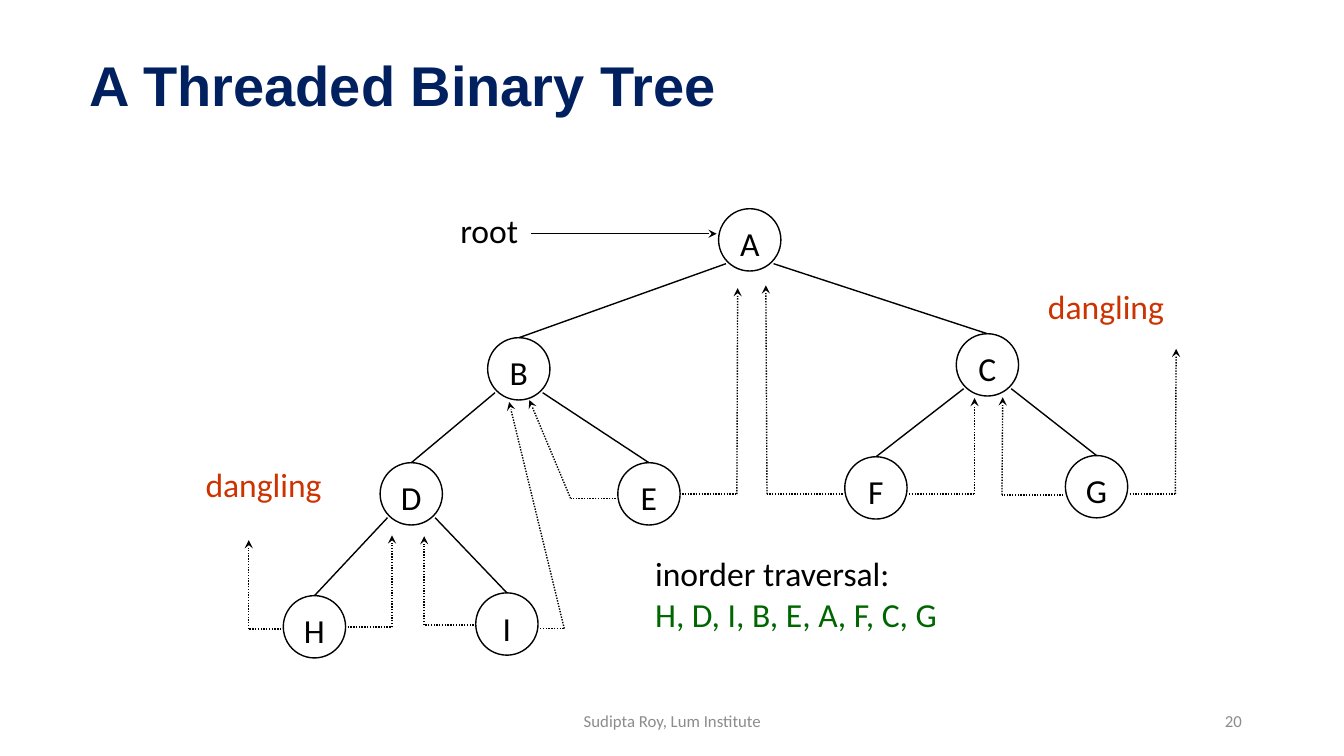
from lxml import etree
from pptx import Presentation
from pptx.dml.color import RGBColor
from pptx.enum import dml, shapes, text
from pptx.oxml.ns import qn
from pptx.util import Cm, Pt

COLORS = {"navy": "002060", "ink": "000000", "red": "CC3300",
          "green": "006600", "gray": "8C8C8C"}
NODE_SIZE = 1.57
EDGE_OFFSET = 0.6
THREAD_GAP = 0.05

NODES = {
    "A": (18.11, 5.26), "B": (12.29, 8.51), "C": (24.1, 8.41),
    "D": (9.58, 11.66), "E": (15.57, 11.66), "F": (21.29, 11.51),
    "G": (26.85, 11.48), "H": (7.14, 15.01), "I": (11.99, 14.94),
}
CHILDREN = {"A": "BC", "B": "DE", "C": "FG", "D": "HI"}
THREADS = [
    ("H", "left", (6.27, 15.85), (6.27, 13.61)),
    ("H", "right", (9.88, 15.8), (9.88, 13.49)),
    ("I", "left", (10.69, 15.75), (10.69, 13.51)),
    ("I", "right", (14.22, 15.84), (12.83, 10.13)),
    ("E", "left", (14.38, 12.56), (13.34, 10.08)),
    ("E", "right", (18.57, 12.45), (18.59, 7.26)),
    ("F", "left", (19.33, 12.45), (19.3, 7.19)),
    ("F", "right", (24.56, 12.45), (24.56, 10.03)),
    ("G", "left", (25.25, 12.47), (25.27, 10.01)),
    ("G", "right", (29.62, 12.45), (29.64, 8.79)),
]
ROOT_ARROW = ((13.39, 5.89), (18.06, 5.89))

TITLE = ("A Threaded Binary Tree", "navy")
LABELS = [
    ((11.35, 5.16, 1.98, 1.3), [("root", "ink")]),
    ((4.93, 11.56, 3.48, 1.27), [("dangling", "red")]),
    ((26.16, 7.09, 3.48, 1.27), [("dangling", "red")]),
    ((16.26, 13.82, 7.67, 2.31),
     [("inorder traversal:", "ink"), ("H, D, I, B, E, A, F, C, G", "green")]),
]
FOOTERS = [
    ((11.23, 17.65, 11.43, 1.02), "Sudipta Roy, Lum Institute", text.PP_ALIGN.CENTER),
    ((23.93, 17.65, 7.62, 1.02), "20", text.PP_ALIGN.RIGHT),
]


def color(name):
    return RGBColor.from_string(COLORS[name])


def write(frame, lines, size=24, font="Calibri", bold=False, align=text.PP_ALIGN.LEFT):
    for index, (words, tint) in enumerate(lines):
        para = frame.add_paragraph() if index else frame.paragraphs[0]
        para.alignment = align
        span = para.add_run()
        span.text = words
        span.font.size = Pt(size)
        span.font.name = font
        span.font.bold = bold
        span.font.color.rgb = color(tint)


def add_label(page, place, lines, wrap=False, anchor=text.MSO_ANCHOR.TOP, **style):
    box = page.shapes.add_textbox(*map(Cm, place))
    box.text_frame.word_wrap = wrap
    box.text_frame.vertical_anchor = anchor
    write(box.text_frame, lines, **style)
    return box


def add_node(page, name):
    circle = page.shapes.add_shape(shapes.MSO_SHAPE.OVAL, *map(Cm, NODES[name]),
                                   Cm(NODE_SIZE), Cm(NODE_SIZE))
    circle.shadow.inherit = False
    circle.fill.background()
    circle.line.color.rgb = color("ink")
    circle.line.width = Pt(1)
    frame = circle.text_frame
    frame.word_wrap = False
    frame.vertical_anchor = text.MSO_ANCHOR.MIDDLE
    frame.margin_left = frame.margin_right = frame.margin_bottom = 0
    frame.margin_top = Cm(0.18)
    write(frame, [(name, "ink")], align=text.PP_ALIGN.CENTER)
    return circle


def add_line(page, start, end, dotted=False, arrow=False):
    line = page.shapes.add_connector(shapes.MSO_CONNECTOR.STRAIGHT,
                                     *map(Cm, start + end))
    line.line.color.rgb = color("ink")
    line.line.width = Pt(1)
    if dotted:
        line.line.dash_style = dml.MSO_LINE.ROUND_DOT
    if arrow:
        etree.SubElement(line.line._get_or_add_ln(), qn("a:tailEnd"), type="stealth")
    etree.SubElement(line._element.spPr, qn("a:effectLst"))
    return line


def add_edges(page, circles):
    for parent, pair in CHILDREN.items():
        left, top = NODES[parent]
        middle = NODE_SIZE / 2
        for child, side in zip(pair, (-1, 1)):
            start = (left + middle + side * EDGE_OFFSET, top + middle + EDGE_OFFSET)
            end = (NODES[child][0] + middle, NODES[child][1])
            add_line(page, start, end).end_connect(circles[child], 0)


def add_threads(page):
    for name, side, bend, tip in THREADS:
        left = NODES[name][0]
        edge = left - THREAD_GAP if side == "left" else left + NODE_SIZE + THREAD_GAP
        add_line(page, (edge, bend[1]), bend, dotted=True)
        add_line(page, bend, tip, dotted=True, arrow=True)


def main():
    deck = Presentation()
    deck.slide_width, deck.slide_height = Cm(33.87), Cm(19.05)
    page = deck.slides.add_slide(deck.slide_layouts[6])
    title = add_label(page, (2.01, 0.64, 25.45, 3.18), [TITLE], wrap=True,
                      anchor=text.MSO_ANCHOR.MIDDLE, size=40, font="Arial", bold=True)
    title.text_frame.paragraphs[0].line_spacing = 0.9
    circles = {name: add_node(page, name) for name in NODES}
    add_edges(page, circles)
    add_threads(page)
    add_line(page, *ROOT_ARROW, arrow=True)
    for place, lines in LABELS:
        add_label(page, place, lines)
    for place, words, align in FOOTERS:
        add_label(page, place, [(words, "gray")], wrap=True,
                  anchor=text.MSO_ANCHOR.MIDDLE, size=12, align=align)
    deck.save("out.pptx")


if __name__ == "__main__":
    main()
